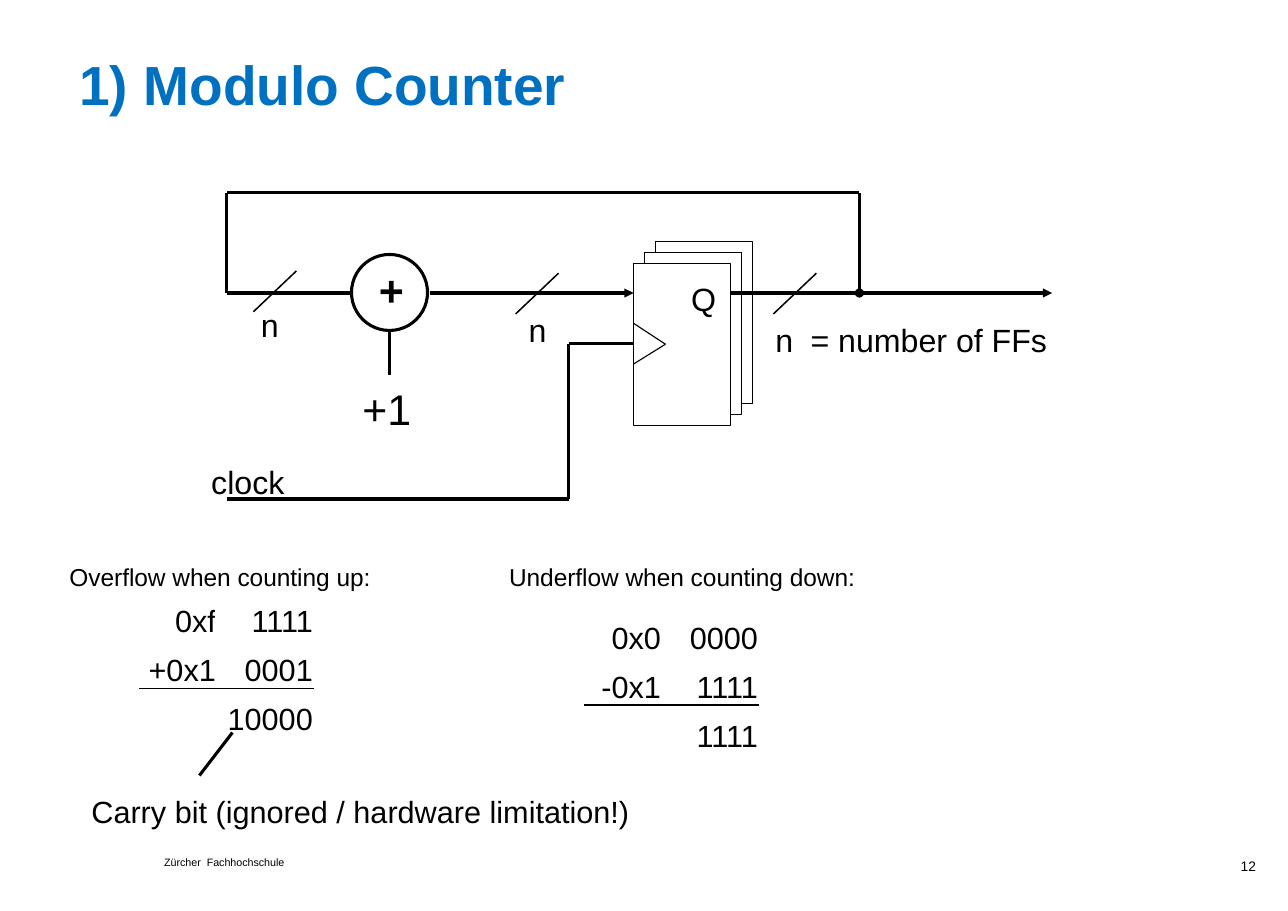
from itertools import pairwise

from lxml import etree
from pptx import Presentation
from pptx.dml.color import RGBColor
from pptx.enum.shapes import MSO_CONNECTOR, MSO_SHAPE
from pptx.enum.text import MSO_ANCHOR as ANCHOR, MSO_AUTO_SIZE as FIT, PP_ALIGN as ALIGN
from pptx.oxml.ns import qn
from pptx.util import Inches, Pt

BLACK = RGBColor(0x00, 0x00, 0x00)
WHITE = RGBColor(0xFF, 0xFF, 0xFF)
BLUE = RGBColor(0x00, 0x70, 0xC0)
FONT = "Arial"
LEADING = Pt(32)


def write(p, text, size, color=BLACK, bold=False, align=ALIGN.LEFT, leading=None):
    p.alignment = align
    if leading:
        p.line_spacing = leading
    r = p.add_run()
    r.text = text
    r.font.name = FONT
    r.font.size = Pt(size)
    r.font.bold = bold
    r.font.color.rgb = color


def text_box(s, x, y, w, h, text, size, inset=(0, 0), anchor=ANCHOR.TOP, wrap=False, **style):
    tf = s.shapes.add_textbox(Inches(x), Inches(y), Inches(w), Inches(h)).text_frame
    tf.word_wrap = wrap
    tf.vertical_anchor = anchor
    tf.margin_left = tf.margin_right = Inches(inset[0])
    tf.margin_top = tf.margin_bottom = Inches(inset[1])
    write(tf.paragraphs[0], text, size, **style)


def signal_label(s, x, y, w, text):
    text_box(s, x, y, w, 0.45, text, 21, inset=(0.11, 0.06), align=ALIGN.CENTER)


def caption(s, x, y, w, text, size, bold=False):
    text_box(s, x, y, w, 0.45, text, size, anchor=ANCHOR.BOTTOM, bold=bold, leading=LEADING)


def wire(s, points, width=2, head=None, tail=None):
    """Join the points with straight segments; the ends apply to each segment."""
    for (x1, y1), (x2, y2) in pairwise(points):
        line = s.shapes.add_connector(
            MSO_CONNECTOR.STRAIGHT, Inches(x1), Inches(y1), Inches(x2), Inches(y2))
        line.line.color.rgb = BLACK
        line.line.width = Pt(width)
        ln = line.line._get_or_add_ln()
        for tag, kind in (("a:headEnd", head), ("a:tailEnd", tail)):
            if kind:
                etree.SubElement(ln, qn(tag), type=kind)
        etree.SubElement(line._element.spPr, qn("a:effectLst"))


def outline(s, kind, x, y, w, h, width):
    sp = s.shapes.add_shape(kind, Inches(x), Inches(y), Inches(w), Inches(h))
    sp.shadow.inherit = False
    sp.fill.solid()
    sp.fill.fore_color.rgb = WHITE
    sp.line.color.rgb = BLACK
    sp.line.width = Pt(width)


def title(s, x, y, w, h):
    sp = s.shapes.title
    sp.left, sp.top, sp.width, sp.height = map(Inches, (x, y, w, h))
    tf = sp.text_frame
    tf.word_wrap = False
    tf.auto_size = FIT.NONE
    tf.vertical_anchor = ANCHOR.TOP
    write(tf.paragraphs[0], "1) Modulo Counter", 36, BLUE, True, leading=LEADING)


def flip_flops(s, x, y, w, h):
    """Stack of three registers, the front one at x, y, with its clock input."""
    for depth in (2, 1, 0):
        outline(s, MSO_SHAPE.RECTANGLE, x + 0.1 * depth, y - 0.1 * depth, w, h, 0.75)
    text_box(s, x + 0.39, y + 0.09, 0.49, 0.44, "Q", 21, inset=(0.11, 0.06),
             wrap=True, align=ALIGN.CENTER)
    clock_y = y + h / 2
    wire(s, [(x, clock_y - 0.19), (x + 0.29, clock_y), (x, clock_y + 0.18)], 0.75)


def adder(s, x, y, d):
    outline(s, MSO_SHAPE.OVAL, x, y, d, d, 2)
    caption(s, x + 0.25, y + 0.1, 0.3, "+", 28, bold=True)
    wire(s, [(x + d / 2, y + d), (x + d / 2, y + d + 0.4)])
    caption(s, x + 0.1, y + 1.18, 0.6, "+1", 28)


def counter_diagram(s, x, y):
    """Counter circuit; y is the height of the feedback wire."""
    bus_y, clock_y, clock_base = y + 0.91, y + 1.37, y + 2.78
    loop_x, clock_x, register_x = x + 0.26, x + 3.36, x + 3.95
    node_x = x + 6

    flip_flops(s, register_x, y + 0.64, 0.88, 1.47)
    adder(s, x + 1.39, y + 0.56, 0.69)
    wire(s, [(register_x + 0.88, bus_y), (node_x, bus_y)])
    wire(s, [(node_x, bus_y), (x + 7.75, bus_y)], tail="triangle")
    wire(s, [(node_x, bus_y), (node_x, y)], head="oval")
    wire(s, [(node_x, y), (loop_x, y), (loop_x, bus_y), (x + 1.38, bus_y)])
    wire(s, [(x + 2.1, bus_y), (register_x, bus_y)], tail="triangle")
    wire(s, [(loop_x, clock_base), (clock_x, clock_base),
             (clock_x, clock_y), (register_x, clock_y)])

    # bus slashes with their widths: slash offset, label offset
    for slash, label in (((0.5, 1.08), (0.45, 0.96)),
                         ((2.88, 1.1), (2.88, 1.01)),
                         ((5.22, 1.1), (5.12, 1.1))):
        sx, sy = x + slash[0], y + slash[1]
        wire(s, [(sx, sy), (sx + 0.39, sy - 0.37)], 1)
        signal_label(s, x + label[0], y + label[1], 0.4, "n")
    signal_label(s, x + 5.39, y + 1.1, 2.48, "= number of FFs")
    signal_label(s, x, y + 2.39, 0.9, "clock")


def rule(cell, side):
    ln = etree.SubElement(cell._tc.get_or_add_tcPr(), qn(side), w=str(Pt(1)))
    fill = etree.SubElement(ln, qn("a:solidFill"))
    etree.SubElement(fill, qn("a:srgbClr"), val=str(BLACK))


def sum_table(s, x, y, rows):
    """Written addition with a rule above the result row."""
    col_widths, row_height = (0.69, 0.88), 0.39
    table = s.shapes.add_table(
        len(rows), 2, Inches(x), Inches(y),
        Inches(sum(col_widths)), Inches(row_height * len(rows))).table
    table.first_row = table.horz_banding = False
    for column, width in zip(table.columns, col_widths):
        column.width = Inches(width)
    for i, row in enumerate(rows):
        for j, text in enumerate(row):
            cell = table.cell(i, j)
            cell.margin_left = cell.margin_right = 0
            cell.margin_top = cell.margin_bottom = 0
            if i == len(rows) - 2:
                rule(cell, "a:lnB")
            elif i == len(rows) - 1:
                rule(cell, "a:lnT")
            cell.fill.background()
            if text:
                write(cell.text_frame.paragraphs[0], text, 20,
                      align=ALIGN.RIGHT, leading=LEADING)


def overflow(s, x, y):
    caption(s, x, y, 2.84, "Overflow when counting up:", 16)
    sum_table(s, x + 0.64, y + 0.44, [("0xf", "1111"), ("+0x1", "0001"), ("", "10000")])
    wire(s, [(x + 1.18, y + 2.12), (x + 1.48, y + 1.73)])
    caption(s, x + 0.2, y + 2.16, 5, "Carry bit (ignored / hardware limitation!)", 20)


def underflow(s, x, y):
    caption(s, x, y, 3.18, "Underflow when counting down:", 16)
    sum_table(s, x + 0.69, y + 0.59, [("0x0", "0000"), ("-0x1", "1111"), ("", "1111")])


def footer(s, x, y):
    text_box(s, x, y, 1.32, 0.1, "Zürcher  Fachhochschule", 7, leading=Pt(7))
    text_box(s, x + 8.58, y, 1.33, 0.21, "12", 9, wrap=True, align=ALIGN.RIGHT)


def main():
    prs = Presentation()
    prs.slide_width, prs.slide_height = Inches(11.69), Inches(8.27)
    s = prs.slides.add_slide(prs.slide_layouts[5])
    title(s, 0.62, 0.56, 4.66, 0.55)
    counter_diagram(s, 1.8, 1.75)
    overflow(s, 0.63, 4.92)
    underflow(s, 4.62, 4.92)
    footer(s, 1.49, 7.79)
    prs.save("out.pptx")


if __name__ == "__main__":
    main()
